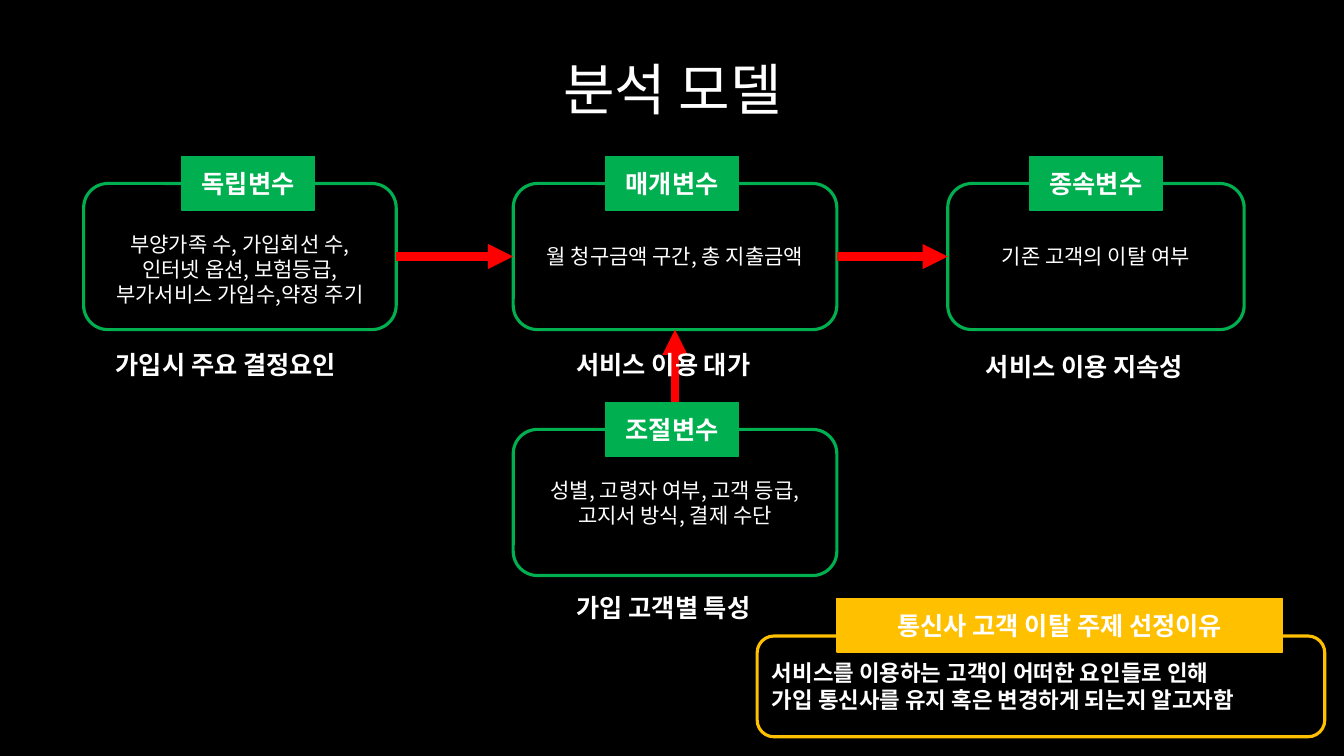
from pptx import Presentation
from pptx.dml.color import RGBColor
from pptx.enum.shapes import MSO_CONNECTOR, MSO_SHAPE
from pptx.enum.text import MSO_ANCHOR, PP_ALIGN
from pptx.oxml.ns import qn
from pptx.util import Inches, Pt
from lxml.etree import SubElement

FONT = "Noto Sans CJK KR"
BLACK, WHITE, GREEN, AMBER, RED = "000000", "FFFFFF", "00B050", "FFC000", "FF0000"

TITLE = "분석 모델"
# name: (column, row, box text, caption, caption left, caption drop, extra top inset)
VARIABLES = {
    "독립변수": (0, 0, "부양가족 수, 가입회선 수,\v인터넷 옵션, 보험등급,\v부가서비스 가입수,약정 주기",
             "가입시 주요 결정요인", 1.05, 0.15, 0.25),
    "매개변수": (1, 0, "월 청구금액 구간, 총 지출금액", "서비스 이용 대가", 5.62, 0.15, 0),
    "종속변수": (2, 0, "기존 고객의 이탈 여부", "서비스 이용 지속성", 9.68, 0.17, 0),
    "조절변수": (1, 1, "성별, 고령자 여부, 고객 등급, 고지서 방식, 결제 수단",
             "가입 고객별 특성", 5.62, 0.12, 0),
}
TOP, RIGHT, LEFT, BOTTOM = 0, 3, 1, 2
ARROWS = [("독립변수", RIGHT, "매개변수", LEFT),
          ("매개변수", RIGHT, "종속변수", LEFT),
          ("조절변수", TOP, "매개변수", BOTTOM)]
REASON_TITLE = "통신사 고객 이탈 주제 선정이유"
REASON = "서비스를 이용하는 고객이 어떠한 요인들로 인해\n가입 통신사를 유지 혹은 변경하게 되는지 알고자함"

COLUMNS = [(0.83, 3.10), (5.09, 3.21), (9.40, 2.94)]  # box left, width
ROW_TOP, ROW_STEP, BOX_H = 1.82, 2.44, 1.45
TAG_LEFT, TAG_STEP, TAG_W, TAG_H, TAG_RISE = 1.80, 4.205, 1.32, 0.53, 0.265


def color(value):
    """Turn a hex string into a colour."""
    return RGBColor.from_string(value)


def write(sp, text, size, bold=False, align=PP_ALIGN.CENTER, anchor=MSO_ANCHOR.MIDDLE):
    """Put white text in a shape and format every run."""
    tf = sp.text_frame
    tf.text, tf.word_wrap, tf.vertical_anchor = text, True, anchor
    for p in tf.paragraphs:
        p.alignment = align
        for r in p.runs:
            r.font.size, r.font.bold, r.font.name = Pt(size), bold, FONT
            r.font.color.rgb = color(WHITE)
            SubElement(r.font._element, qn("a:ea"), typeface=FONT)
    return tf


def add_box(kind, place, line, weight, fill=None):
    """Add an outlined shape, filled only when a fill is given."""
    sp = s.shapes.add_shape(kind, *map(Inches, place))
    sp.shadow.inherit = False
    sp.line.color.rgb, sp.line.width = color(line), Pt(weight)
    if fill:
        sp.fill.solid()
        sp.fill.fore_color.rgb = color(fill)
    else:
        sp.fill.background()
    return sp


def add_frame(place, line):
    """Add a rounded outline."""
    return add_box(MSO_SHAPE.FLOWCHART_ALTERNATE_PROCESS, place, line, 2.25)


def add_tag(text, place, fill):
    """Add a solid heading tag."""
    write(add_box(MSO_SHAPE.RECTANGLE, place, fill, 1, fill), text, 18, True)


def add_arrow(start, start_site, end, end_site):
    """Join two boxes with a thick red arrow."""
    c = s.shapes.add_connector(MSO_CONNECTOR.STRAIGHT, 0, 0, 0, 0)
    c.begin_connect(start, start_site)
    c.end_connect(end, end_site)
    c.line.color.rgb, c.line.width = color(RED), Pt(6)
    SubElement(c.line._get_or_add_ln(), qn("a:tailEnd"), type="triangle")
    SubElement(c._element.spPr, qn("a:effectLst"))


prs = Presentation()
prs.slide_width, prs.slide_height = Inches(13.33), Inches(7.5)
s = prs.slides.add_slide(prs.slide_layouts[6])
s.background.fill.solid()
s.background.fill.fore_color.rgb = color(BLACK)

title = s.shapes.add_textbox(*map(Inches, (3.01, 0.19, 7.32, 1.45)))
write(title, TITLE, 40).paragraphs[0].line_spacing = 0.9

boxes = {}
for name, (col, row, text, *_, inset) in VARIABLES.items():
    left, width = COLUMNS[col]
    boxes[name] = add_frame((left, ROW_TOP + row * ROW_STEP, width, BOX_H), GREEN)
    write(boxes[name], text, 15).margin_top = Inches(0.05 + inset)

for start, start_site, end, end_site in ARROWS:
    add_arrow(boxes[start], start_site, boxes[end], end_site)

for name, (col, row, _, caption, left, drop, _) in VARIABLES.items():
    top = ROW_TOP + row * ROW_STEP
    add_tag(name, (TAG_LEFT + col * TAG_STEP, top - TAG_RISE, TAG_W, TAG_H), GREEN)
    label = s.shapes.add_textbox(*map(Inches, (left, top + BOX_H + drop, 2.65, 0.4)))
    write(label, caption, 18, True, PP_ALIGN.LEFT, MSO_ANCHOR.TOP)

write(add_frame((7.51, 6.31, 5.63, 1), AMBER), REASON, 16, True, PP_ALIGN.LEFT)
add_tag(REASON_TITLE, (8.3, 5.94, 4.42, TAG_H), AMBER)

prs.save("out.pptx")
